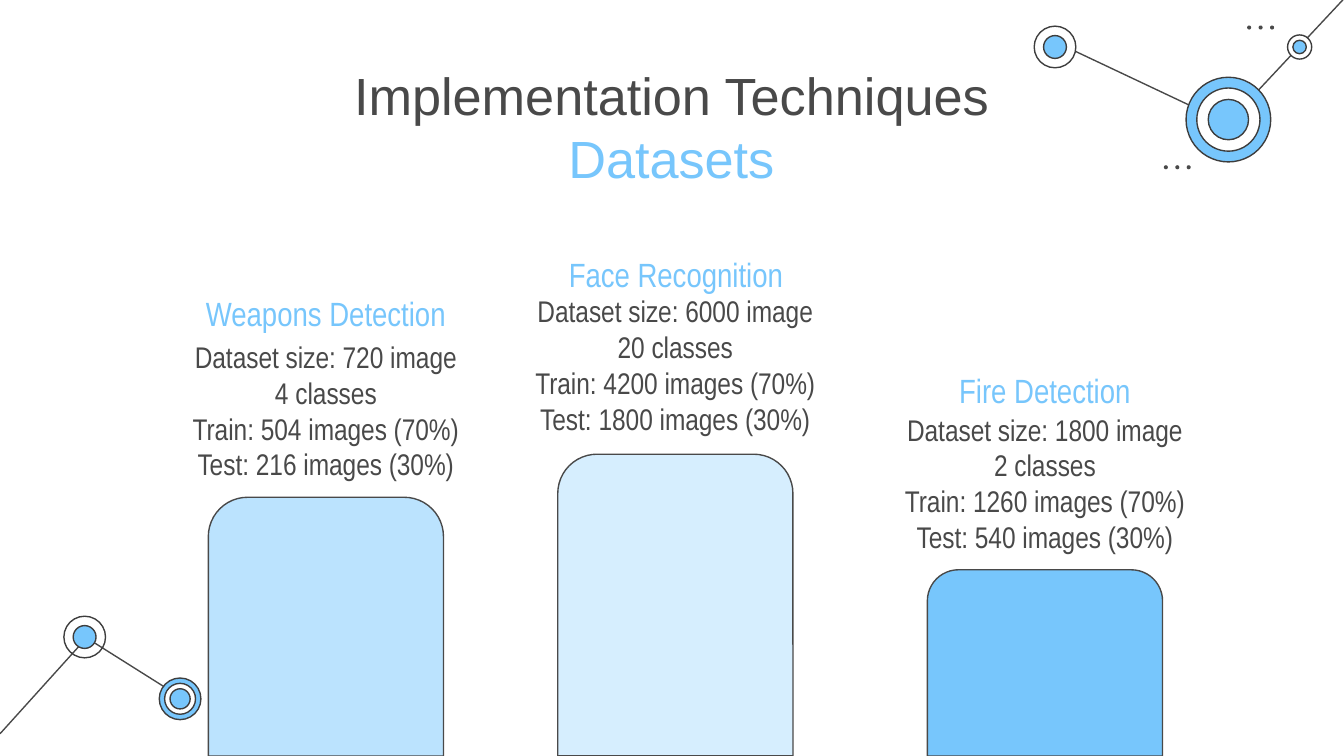
from lxml.etree import SubElement
from pptx import Presentation
from pptx.dml.color import RGBColor
from pptx.enum.shapes import MSO_CONNECTOR, MSO_SHAPE
from pptx.enum.text import MSO_ANCHOR, PP_ALIGN
from pptx.oxml.ns import qn
from pptx.util import Inches, Pt

INK = RGBColor(0x49, 0x49, 0x49)
OUTLINE = RGBColor(0x3D, 0x3D, 0x3D)
BLUE = RGBColor(0x77, 0xC6, 0xFC)
LIGHT_BLUE = RGBColor(0xBB, 0xE3, 0xFE)
PALE_BLUE = RGBColor(0xD6, 0xEE, 0xFE)
WHITE = RGBColor(0xFF, 0xFF, 0xFF)

SLIDE_WIDTH, SLIDE_HEIGHT = 10, 5.625
BAR_WIDTH, DETAIL_WIDTH = 1.75, 2.47
DOT_SIZE, DOT_STEP = 0.03, 0.085

# Content
TITLE = [("Implementation Techniques", INK), ("Datasets", BLUE)]

# name, heading box (left, top, width), details (left, top), bar (left, top), colour, lines
DATASETS = [
    ("Weapons Detection", (1.34, 2.08, 2.17), (1.19, 2.42), (1.55, 3.7), LIGHT_BLUE,
     ["Dataset size: 720 image", "4 classes",
      "Train: 504 images (70%)", "Test: 216 images (30%)"]),
    ("Face Recognition", (4.01, 1.79, 2.04), (3.79, 2.08), (4.15, 3.38), PALE_BLUE,
     ["Dataset size: 6000 image", "20 classes",
      "Train: 4200 images (70%)", "Test: 1800 images (30%)"]),
    ("Fire Detection", (6.66, 2.65, 2.23), (6.54, 2.96), (6.9, 4.24), BLUE,
     ["Dataset size: 1800 image", "2 classes",
      "Train: 1260 images (70%)", "Test: 540 images (30%)"]),
]

# Network decoration: links (start, end), nodes (centre, rings of diameter and fill)
LINKS = [((0.65, 4.75), (1.38, 5.21)), ((0, 5.46), (0.65, 4.74)),
         ((9.14, 0.92), (7.87, 0.32)), ((10, -0.01), (9.14, 0.91))]
NODES = [
    ((0.63, 4.74), [(0.31, None), (0.17, BLUE)]),
    ((1.34, 5.2), [(0.31, BLUE), (0.23, WHITE), (0.15, BLUE)]),
    ((9.14, 0.89), [(0.63, BLUE), (0.47, WHITE), (0.3, BLUE)]),
    ((7.85, 0.35), [(0.31, WHITE), (0.17, BLUE)]),
    ((9.67, 0.35), [(0.18, WHITE), (0.1, BLUE)]),
]
DOT_ROWS = [(9.28, 0.19), (8.66, 1.23)]


def add_link(page, start, end):
    link = page.shapes.add_connector(
        MSO_CONNECTOR.STRAIGHT, *(Inches(value) for value in start + end))
    link.line.color.rgb = INK
    link.line.width = Pt(0.75)
    SubElement(link._element.spPr, qn("a:effectLst"))


def add_figure(page, kind, left, top, width, height, fill, line):
    shape = page.shapes.add_shape(
        kind, Inches(left), Inches(top), Inches(width), Inches(height))
    shape.shadow.inherit = False
    if fill is None:
        shape.fill.background()
    else:
        shape.fill.solid()
        shape.fill.fore_color.rgb = fill
    if line is None:
        shape.line.fill.background()
    else:
        shape.line.color.rgb = line
        shape.line.width = Pt(0.75)
    return shape


def set_frame(frame):
    frame.word_wrap = True
    frame.vertical_anchor = MSO_ANCHOR.TOP
    frame.margin_left = frame.margin_right = Inches(0.1)
    frame.margin_top = frame.margin_bottom = Inches(0.1)


def add_span(para, text, size, font, color):
    para.alignment = PP_ALIGN.CENTER
    span = para.add_run()
    span.text = text
    span.font.size = Pt(size)
    span.font.name = font
    span.font.color.rgb = color


def add_lines(page, left, top, width, height, lines, size, color):
    box = page.shapes.add_textbox(
        Inches(left), Inches(top), Inches(width), Inches(height))
    frame = box.text_frame
    set_frame(frame)
    for index, text in enumerate(lines):
        para = frame.add_paragraph() if index else frame.paragraphs[0]
        add_span(para, text, size, "Arial Narrow", color)


def add_title(page):
    title = page.shapes.title
    title.left, title.top = Inches(2.41), Inches(0.37)
    title.width, title.height = Inches(5.17), Inches(0.63)
    set_frame(title.text_frame)
    para = title.text_frame.paragraphs[0]
    for index, (text, color) in enumerate(TITLE):
        if index:
            para.add_line_break()
        add_span(para, text, 28, "Arial", color)


def main():
    deck = Presentation()
    deck.slide_width, deck.slide_height = Inches(SLIDE_WIDTH), Inches(SLIDE_HEIGHT)
    page = deck.slides.add_slide(deck.slide_layouts[5])

    # Network decoration
    for start, end in LINKS:
        add_link(page, start, end)
    for (x, y), rings in NODES:
        for size, fill in rings:
            add_figure(page, MSO_SHAPE.OVAL, x - size / 2, y - size / 2,
                       size, size, fill, OUTLINE)
    for left, top in DOT_ROWS:
        for index in range(3):
            add_figure(page, MSO_SHAPE.OVAL, left + index * DOT_STEP, top,
                       DOT_SIZE, DOT_SIZE, INK, None)

    add_title(page)

    # One heading, bar and detail list for each dataset
    for name, heading, details, (left, top), color, lines in DATASETS:
        add_lines(page, *heading, 0.44, [name], 18, BLUE)
        bar = add_figure(page, MSO_SHAPE.ROUND_2_SAME_RECTANGLE, left, top,
                         BAR_WIDTH, SLIDE_HEIGHT - top, color, INK)
        bar.adjustments[0], bar.adjustments[1] = 0.167, 0
        add_lines(page, *details, DETAIL_WIDTH, 0.67, lines, 16, INK)

    deck.save("out.pptx")


if __name__ == "__main__":
    main()
